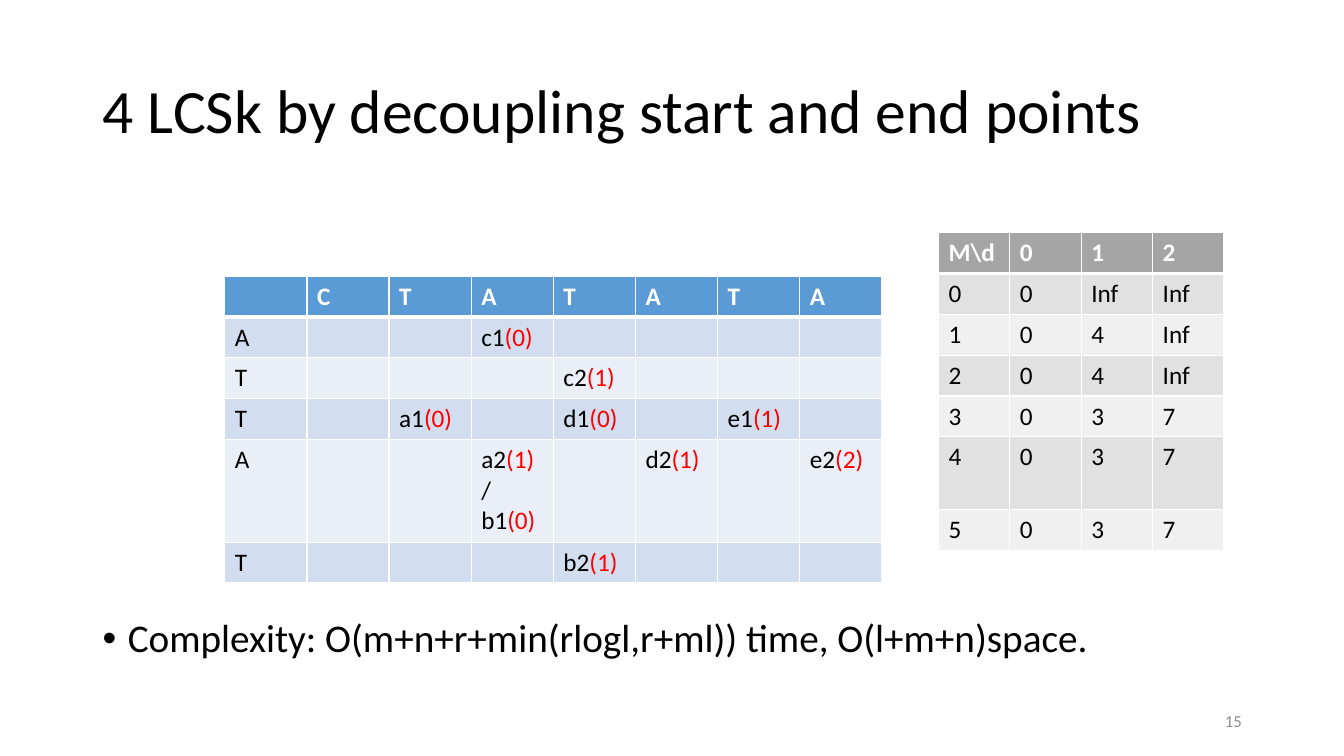
from lxml.etree import SubElement
from pptx import Presentation
from pptx.dml.color import RGBColor
from pptx.enum.text import MSO_ANCHOR as Anchor, PP_ALIGN as Align
from pptx.oxml.ns import qn
from pptx.util import Inches, Pt

COLORS = {
    "black": "000000", "white": "FFFFFF", "red": "FF0000", "number": "8C8C8C",
    "blue": "5B9BD5", "blue_dark": "D2DEEF", "blue_light": "EAEFF7",
    "gray": "A5A5A5", "gray_dark": "E1E1E1", "gray_light": "F0F0F0",
}

prs = Presentation()
prs.slide_width, prs.slide_height = Inches(13.33), Inches(7.5)
COL, ROW = prs.slide_width / 100, prs.slide_height / 100
s = prs.slides.add_slide(prs.slide_layouts[6])


def grid(left, top, width, height):
    return int(left * COL), int(top * ROW), int(width * COL), int(height * ROW)


def add_run(p, text, size, color, bold=False):
    r = p.add_run()
    r.text = text
    r.font.name, r.font.size, r.font.bold = "Calibri", Pt(size), bold
    r.font.color.rgb = RGBColor.from_string(COLORS[color])


texts = [
    ("4 LCSk by decoupling start and end points", (6.9, 5.33, 86.25, 19.33), 44, "black", Align.LEFT, 0.9),
    ("Complexity: O(m+n+r+min(rlogl,r+ml)) time, O(l+m+n)space.", (6.9, 80.67, 82.14, 8), 28, "black", Align.LEFT, 0.9),
    ("15", (70.65, 92.67, 22.5, 5.33), 12, "number", Align.RIGHT, 1.0),
]
for text, place, size, color, align, spacing in texts:
    tf = s.shapes.add_textbox(*grid(*place)).text_frame
    tf.word_wrap = True
    tf.vertical_anchor = Anchor.MIDDLE
    p = tf.paragraphs[0]
    p.alignment, p.line_spacing = align, spacing
    if text.startswith("Complexity"):
        pPr = p._p.get_or_add_pPr()
        pPr.set("marL", str(Inches(0.25)))
        pPr.set("indent", str(-Inches(0.25)))
        SubElement(pPr, qn("a:buFont"), typeface="Arial")
        SubElement(pPr, qn("a:buChar"), char="•")
    add_run(p, text, size, color)

match_rows = [
    ["", "C", "T", "A", "T", "A", "T", "A"],
    ["A", "", "", "c1(0)", "", "", "", ""],
    ["T", "", "", "", "c2(1)", "", "", ""],
    ["T", "", "a1(0)", "", "d1(0)", "", "e1(1)", ""],
    ["A", "", "", "a2(1)/b1(0)", "", "d2(1)", "", "e2(2)"],
    ["T", "", "", "", "b2(1)", "", "", ""],
]
length_rows = [
    ["M\\d", "0", "1", "2"],
    ["0", "0", "Inf", "Inf"],
    ["1", "0", "4", "Inf"],
    ["2", "0", "4", "Inf"],
    ["3", "0", "3", "7"],
    ["4", "0", "3", "7"],
    ["5", "0", "3", "7"],
]
tables = [
    (match_rows, 16.73, 36.53, 48.9, "blue", 4, 13.6),
    (length_rows, 69.83, 30.8, 21.25, "gray", 5, 9.6),
]
for rows, left, top, width, hue, tall_row, tall in tables:
    heights = [tall if i == tall_row else 5.4 for i in range(len(rows))]
    place = grid(left, top, width, sum(heights))
    table = s.shapes.add_table(len(rows), len(rows[0]), *place).table
    for column in table.columns:
        column.width = int(width * COL / len(rows[0]))
    for i, row in enumerate(rows):
        table.rows[i].height = int(heights[i] * ROW)
        fill = hue if i == 0 else hue + ("_dark" if i % 2 else "_light")
        for j, text in enumerate(row):
            cell = table.cell(i, j)
            tcPr = cell._tc.get_or_add_tcPr()
            for side in "LRTB":
                thick = (i, side) in [(0, "B"), (1, "T")]
                ln = SubElement(tcPr, qn("a:ln" + side), w=str(Pt(3 if thick else 1)))
                SubElement(SubElement(ln, qn("a:solidFill")), qn("a:srgbClr"), val=COLORS["white"])
            cell.fill.solid()
            cell.fill.fore_color.rgb = RGBColor.from_string(COLORS[fill])
            p = cell.text_frame.paragraphs[0]
            for part in text.replace("(", "|(").replace(")", ")|").split("|"):
                if part:
                    color = "white" if i == 0 else "red" if part[0] == "(" else "black"
                    add_run(p, part, 18, color, i == 0)

prs.save("out.pptx")
